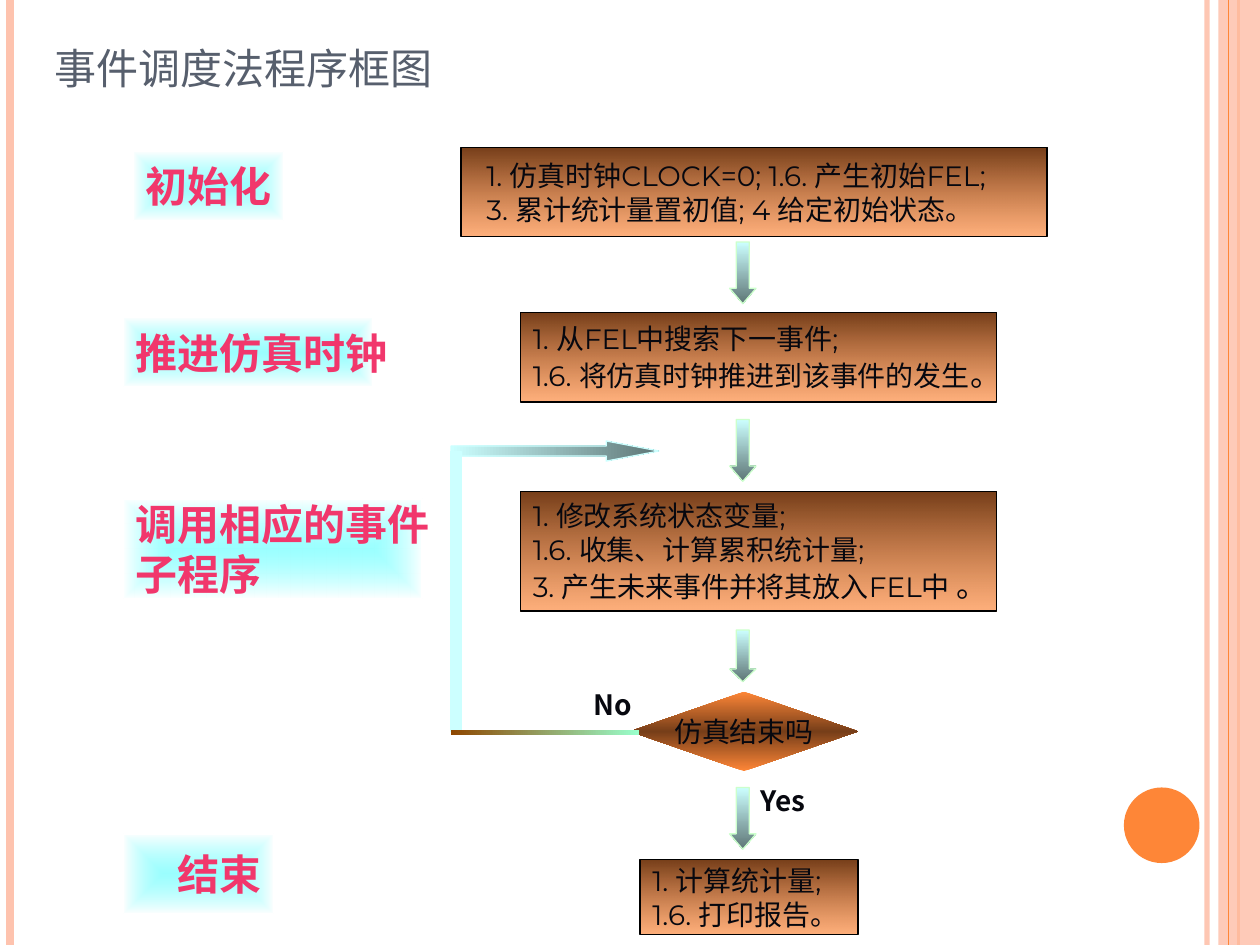
from lxml import etree
from pptx import Presentation
from pptx.dml.color import RGBColor
from pptx.enum.shapes import MSO_CONNECTOR, MSO_SHAPE as SHAPE
from pptx.enum.text import MSO_ANCHOR as ANCHOR, MSO_AUTO_SIZE as AUTOSIZE, PP_ALIGN as ALIGN
from pptx.oxml.ns import qn
from pptx.util import Inches, Pt

COLORS = {
    "title": "575F6D", "text": "07080F", "label": "F1376C", "black": "000000",
    "white": "FFFFFF", "peach": "FEC3AE", "orange": "FE8637", "brown": "763E19",
    "aqua": "CCFFFF", "slate": "5E7676", "mint": "CCFFCC", "cyan": "66FFFF",
    "rust": "8E4700", "green": "99FFCC",
}
CJK = "Noto Sans CJK SC"
LATIN = "Montserrat"
BOX_GRADIENT = [(0, "brown", 100), (100, "orange", 65)]
DIAMOND_GRADIENT = [(0, "orange", 100), (50, "brown", 100), (100, "orange", 100)]
ARROW_GRADIENT = [(0, "aqua", 100), (100, "slate", 100)]
LABEL_GRADIENT = [(0, "cyan", 65), (100, "white", 100)]
BAR_GRADIENT = [(0, "rust", 100), (100, "green", 100)]

STEPS = [
    ((3.66, 1.17, 4.65, 0.71), 0.2,
     [["1. 仿真时钟CLOCK=0; 1.6. 产生初始FEL;"],
      ["3. 累计统计量置初值; 4 给定初始状态。"]]),
    ((4.13, 2.48, 3.78, 0.71), 0.1,
     [["1. 从FEL中搜索下一事件;"], ["1.6. 将仿真时钟推进到该事件的发生", "。"]]),
    ((4.13, 3.9, 3.78, 0.95), 0.1,
     [["1. 修改系统状态变量;"], ["1.6. 收集、计算累积统计量;"],
      ["3. 产生未来事件并将其放入FEL中", " 。"]]),
    ((5.08, 6.82, 1.73, 0.6), 0.1, [["1. 计算统计量;"], ["1.6. 打印报告。"]]),
]
LABELS = [
    ((1.06, 1.2, 1.19, 0.55), 0.1, [["初始化"]]),
    ((0.98, 2.52, 1.98, 0.55), 0.1, [["推进仿真时钟"]]),
    ((0.98, 3.96, 2.37, 0.79), 0.1, [["调用相应的事件"], ["子程序"]]),
    ((0.98, 6.62, 1.19, 0.63), 0.43, [["结束"]]),
]
DOWN_ARROWS = [(1.92, 0.49, 0.58), (3.33, 0.49, 0.58), (5, 0.41, 0.48), (6.25, 0.49, 0.58)]
ANSWERS = [((5.94, 6.17, 0.67, 0.31), "Yes"), ((4.61, 5.41, 0.55, 0.31), "No")]
EDGE_LINES = [(9.58, "peach", 3), (0.08, "peach", 4.5), (9.83, "orange", 1.5)]


def rgb(name):
    return RGBColor.from_string(COLORS[name])


def add_alpha(clr, percent):
    etree.SubElement(clr, qn("a:alpha"), val=str(percent * 1000))


def set_gradient(sp, stops, angle):
    sp.fill.gradient()
    grad = sp._element.spPr.find(qn("a:gradFill"))
    for child in list(grad):
        grad.remove(child)
    stop_list = etree.SubElement(grad, qn("a:gsLst"))
    for pos, name, alpha in stops:
        gs = etree.SubElement(stop_list, qn("a:gs"), pos=str(pos * 1000))
        clr = etree.SubElement(gs, qn("a:srgbClr"), val=COLORS[name])
        if alpha < 100:
            add_alpha(clr, alpha)
    if angle is None:
        shade = etree.SubElement(grad, qn("a:path"), path="rect")
        sides = {side: "50000" for side in "ltrb"}
        etree.SubElement(shade, qn("a:fillToRect"), **sides)
    else:
        etree.SubElement(grad, qn("a:lin"), ang=str(angle * 60000), scaled="1")


def add_shape(s, kind, at, fill, line=None, angle=None):
    sp = s.shapes.add_shape(kind, *map(Inches, at))
    sp.shadow.inherit = False
    if isinstance(fill, str):
        sp.fill.solid()
        sp.fill.fore_color.rgb = rgb(fill)
    else:
        set_gradient(sp, fill, angle)
    if line:
        sp.line.color.rgb = rgb(line)
        sp.line.width = Pt(0.75)
    else:
        sp.line.fill.background()
    return sp


def add_line(s, x, color, width):
    line = s.shapes.add_connector(MSO_CONNECTOR.STRAIGHT, Inches(x), 0, Inches(x), Inches(7.5))
    line.line.color.rgb = rgb(color)
    line.line.width = Pt(width)
    etree.SubElement(line._element.spPr, qn("a:effectLst"))
    return line


def format_run(r, size, color, font=LATIN, bold=False):
    for name, value in {"size": Pt(size), "name": font, "bold": bold}.items():
        setattr(r.font, name, value)
    r.font.color.rgb = rgb(color)
    r.font._element.find(qn("a:latin")).addnext(
        etree.Element(qn("a:ea"), typeface=CJK))


def set_frame(tf, left=0.1, anchor=ANCHOR.MIDDLE, wrap=False):
    frame = {
        "auto_size": AUTOSIZE.NONE, "word_wrap": wrap, "vertical_anchor": anchor,
        "margin_left": Inches(left), "margin_right": Inches(0.1),
        "margin_top": Inches(0.05), "margin_bottom": Inches(0.05),
    }
    for name, value in frame.items():
        setattr(tf, name, value)


def write_lines(sp, lines, left, size, color, bold=False, align=ALIGN.LEFT):
    tf = sp.text_frame
    set_frame(tf, left)
    for i, texts in enumerate(lines):
        p = tf.add_paragraph() if i else tf.paragraphs[0]
        p.alignment = align
        for j, text in enumerate(texts):
            r = p.add_run()
            r.text = text
            format_run(r, size + 2 * j, color, bold=bold)


def add_title(s, text):
    title = s.shapes.title
    place = dict(zip(("left", "top", "width", "height"), (0.33, 0.33, 9.37, 0.58)))
    for name, value in place.items():
        setattr(title, name, Inches(value))
    set_frame(title.text_frame, anchor=ANCHOR.TOP, wrap=True)
    p = title.text_frame.paragraphs[0]
    p.alignment = ALIGN.LEFT
    p.line_spacing = 0.9
    r = p.add_run()
    r.text = text
    format_run(r, 24, "title", CJK)


def add_answer(s, at, text):
    tf = s.shapes.add_textbox(*map(Inches, at)).text_frame
    set_frame(tf, anchor=ANCHOR.TOP, wrap=True)
    r = tf.paragraphs[0].add_run()
    r.text = text
    format_run(r, 16, "text", CJK, True)


def add_decoration(s):
    lines = [add_line(s, *edge) for edge in EDGE_LINES]
    add_alpha(lines[0].line._ln.find(".//" + qn("a:srgbClr")), 93)
    band = add_shape(s, SHAPE.RECTANGLE, (9.67, 0, 0.33, 7.5), "peach")
    add_alpha(band._element.spPr.find(".//" + qn("a:srgbClr")), 87)
    add_line(s, 9.75, "orange", 0.75)
    add_shape(s, SHAPE.OVAL, (8.92, 6.25, 0.6, 0.6), "orange")


def add_loop(s):
    arrow = add_shape(s, SHAPE.RIGHT_ARROW, (3.58, 3.5, 1.65, 0.16), ARROW_GRADIENT, "aqua", 0)
    arrow.adjustments[1] = 2.62
    riser = add_shape(s, SHAPE.RECTANGLE, (2.51, 4.65, 2.22, 0.09), "aqua", "aqua")
    riser.rotation = 90
    add_shape(s, SHAPE.RECTANGLE, (3.58, 5.79, 1.49, 0.04), BAR_GRADIENT, angle=0)


def main():
    prs = Presentation()
    prs.slide_width, prs.slide_height = Inches(10), Inches(7.5)
    s = prs.slides.add_slide(prs.slide_layouts[5])
    add_decoration(s)
    add_title(s, "事件调度法程序框图")
    for at, left, lines in STEPS:
        box = add_shape(s, SHAPE.RECTANGLE, at, BOX_GRADIENT, "black", 90)
        write_lines(box, lines, left, 16, "text")
    diamond = add_shape(s, SHAPE.DIAMOND, (5, 5.49, 1.81, 0.63), DIAMOND_GRADIENT, angle=90)
    write_lines(diamond, [["仿真结束吗"]], 0.1, 16, "text", align=ALIGN.CENTER)
    for top, height, head in DOWN_ARROWS:
        arrow = add_shape(s, SHAPE.DOWN_ARROW, (5.79, top, 0.21, height), ARROW_GRADIENT, "mint", 90)
        arrow.adjustments[1] = head
    add_loop(s)
    for at, text in ANSWERS:
        add_answer(s, at, text)
    for at, left, lines in LABELS:
        label = add_shape(s, SHAPE.RECTANGLE, at, LABEL_GRADIENT, "white")
        write_lines(label, lines, left, 24, "label", True)
    prs.save("out.pptx")


if __name__ == "__main__":
    main()
